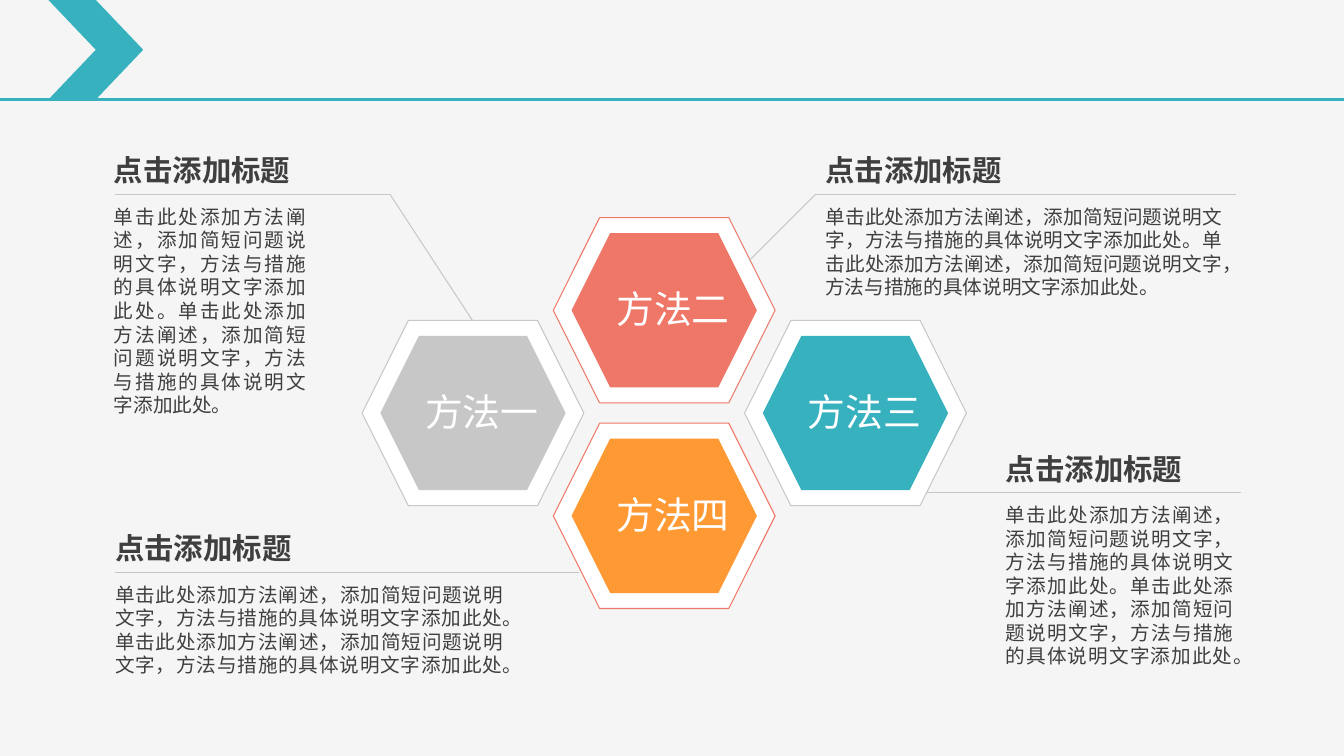
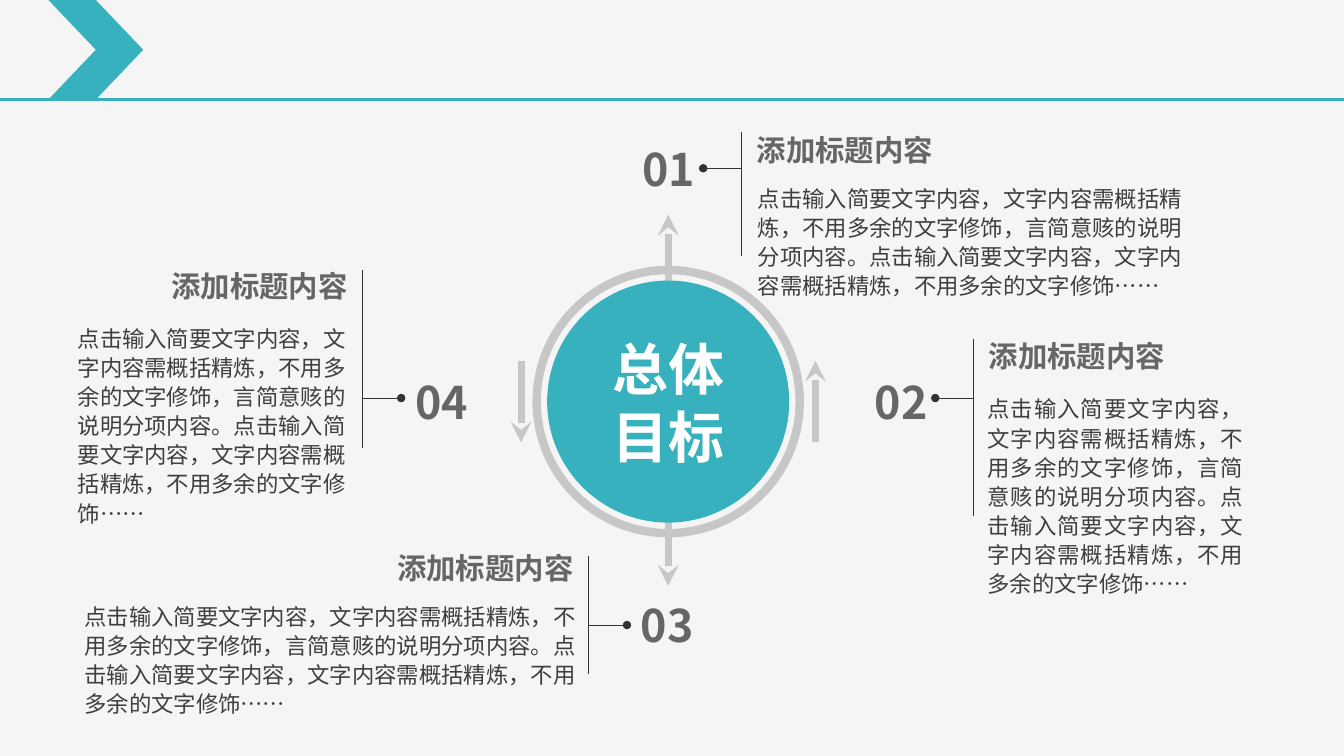
from lxml.etree import SubElement
from pptx import Presentation
from pptx.dml.color import RGBColor
from pptx.enum.shapes import MSO_CONNECTOR as Connector, MSO_SHAPE as Shape
from pptx.enum.text import PP_ALIGN as Align
from pptx.oxml.ns import qn
from pptx.util import Cm, Pt

FONT = "Noto Sans CJK SC"
COLORS = {
    "background": "F5F5F5",
    "teal": "38B1BF",
    "coral": "EF7768",
    "orange": "FF9933",
    "silver": "C7C7C7",
    "white": "FFFFFF",
    "text": "3F3F3F",
    "heading": "666666",
    "rule": "333333",
}
PADDED, TIGHT = (0.33, 0.18), (0, 0)
# Each style: font values, colour, line height as a multiple of the size, margins
STYLES = {
    "hexagon label": ({"size": Pt(27)}, "white", 1.2, (0.25, 0.13)),
    "method title": ({"size": Pt(21), "bold": True}, "text", 1.2, PADDED),
    "method body": ({"size": Pt(14)}, "text", 1.2, PADDED),
    "goal title": ({"size": Pt(21), "bold": True}, "heading", 1.2, TIGHT),
    "goal body": ({"size": Pt(16)}, "text", 1.3, TIGHT),
    "goal number": ({"size": Pt(32), "bold": True}, "heading", 1.2, TIGHT),
    "center label": ({"size": Pt(40), "bold": True}, "white", 1.2, PADDED),
}


def add_text(slide, box, text, style, align=Align.LEFT):
    """Add a text box; box is left, top, width and height in centimetres."""
    font_values, color, line_height, (side, edge) = STYLES[style]
    frame = slide.shapes.add_textbox(*map(Cm, box)).text_frame
    frame_values = {
        "word_wrap": True,
        "margin_left": Cm(side), "margin_right": Cm(side),
        "margin_top": Cm(edge), "margin_bottom": Cm(edge),
    }
    for name, value in frame_values.items():
        setattr(frame, name, value)
    paragraph = frame.paragraphs[0]
    paragraph.alignment = align
    paragraph.line_spacing = Pt(round(font_values["size"].pt * line_height, 1))
    run = paragraph.add_run()
    run.text = text
    for name, value in {"name": FONT, **font_values}.items():
        setattr(run.font, name, value)
    run.font.color.rgb = RGBColor.from_string(COLORS[color])
    SubElement(run._r.get_or_add_rPr(), qn("a:ea"), typeface=FONT)


def add_line(slide, start, end, color, width=0.75, end_mark=None):
    """Draw a line between two points in centimetres, with a mark at its end."""
    line = slide.shapes.add_connector(Connector.STRAIGHT, *map(Cm, (*start, *end)))
    line.line.color.rgb = RGBColor.from_string(COLORS[color])
    line.line.width = Pt(width)
    if end_mark:
        SubElement(line.line._get_or_add_ln(), qn("a:tailEnd"), type=end_mark)
    SubElement(line._element.spPr, qn("a:effectLst"))
    return line


presentation = Presentation()
presentation.slide_width, presentation.slide_height = Cm(33.87), Cm(19.05)
background = presentation.slide_master.background.fill
background.solid()
background.fore_color.rgb = RGBColor.from_string(COLORS["background"])
blank = presentation.slide_layouts[6]
methods_slide = presentation.slides.add_slide(blank)
goals_slide = presentation.slides.add_slide(blank)

# Header shared by both slides: drawn once, then moved to the layout
header_line = add_line(methods_slide, (0, 2.51), (33.87, 2.51), "teal", 2.25)
chevron = methods_slide.shapes.add_shape(
    Shape.CHEVRON, Cm(1.22), Cm(0), Cm(2.39), Cm(2.51))
chevron.shadow.inherit = False
chevron.fill.solid()
chevron.fill.fore_color.rgb = RGBColor.from_string(COLORS["teal"])
chevron.line.fill.background()
for shape in (header_line, chevron):
    blank.shapes._spTree.append(shape._element)

# Slide 1: four hexagons around a centre
CENTER_X, CENTER_Y, STEP_X, STEP_Y = 16.74, 10.41, 4.82, 2.59
HEXAGONS = [
    ("方法二", 0, -1, "coral", "coral"),
    ("方法一", -1, 0, "silver", "silver"),
    ("方法四", 0, 1, "orange", "coral"),
    ("方法三", 1, 0, "teal", "silver"),
]
for label, column, row, color, outline in HEXAGONS:
    x, y = CENTER_X + column * STEP_X, CENTER_Y + row * STEP_Y
    for width, height, fill, border in (
            (5.59, 4.67, "white", outline), (4.67, 3.89, color, None)):
        hexagon = methods_slide.shapes.add_shape(
            Shape.HEXAGON, Cm(x - width / 2), Cm(y - height / 2), Cm(width), Cm(height))
        hexagon.shadow.inherit = False
        hexagon.fill.solid()
        hexagon.fill.fore_color.rgb = RGBColor.from_string(COLORS[fill])
        if border:
            hexagon.line.color.rgb = RGBColor.from_string(COLORS[border])
            hexagon.line.width = Pt(0.75)
        else:
            hexagon.line.fill.background()
    add_text(methods_slide, (x - 1.5, y - 0.74, 3.4, 1.42), label,
             "hexagon label", Align.RIGHT)

METHOD_TEXT = "单击此处添加方法阐述，添加简短问题说明文字，方法与措施的具体说明文字添加此处。" * 2
# left, top, body width, body height, underline from and to, end of the leader
METHODS = [
    (2.54, 3.66, 5.51, 5.74, 2.9, 9.83, (11.91, 8.08)),
    (20.47, 3.66, 10.67, 2.74, 31.14, 20.55, (18.87, 6.58)),
    (2.57, 13.18, 10.44, 3.35, 2.9, 14.6, None),
    (25.02, 11.18, 6.4, 4.52, 31.27, 23.37, None),
]
for left, top, width, height, line_from, line_to, leader_end in METHODS:
    add_text(methods_slide, (left, top, 6.32, 1.24), "点击添加标题", "method title")
    add_text(methods_slide, (left, top + 1.32, width, height), METHOD_TEXT,
             "method body", Align.JUSTIFY)
    line_y = top + 1.24
    add_line(methods_slide, (line_from, line_y), (line_to, line_y), "silver")
    if leader_end:
        add_line(methods_slide, (line_to, line_y), leader_end, "silver")

# Slide 2: central goal with arrows and four numbered notes
GOAL_X, GOAL_Y = 16.84, 10.12
ARROWS = [
    (GOAL_X, 7.49, 5.41),
    (GOAL_X, 12.7, 14.76),
    (20.55, 11.15, 9.09),
    (13.13, 9.09, 11.15),
]
for x, start_y, end_y in ARROWS:
    add_line(goals_slide, (x, start_y), (x, end_y), "silver", 5, "stealth")

for diameter, is_ring in ((6.63, True), (6.1, False)):
    circle = goals_slide.shapes.add_shape(
        Shape.OVAL, Cm(GOAL_X - diameter / 2), Cm(GOAL_Y - diameter / 2),
        Cm(diameter), Cm(diameter))
    circle.shadow.inherit = False
    if is_ring:
        circle.fill.background()
        circle.line.color.rgb = RGBColor.from_string(COLORS["silver"])
        circle.line.width = Pt(6)
    else:
        circle.fill.solid()
        circle.fill.fore_color.rgb = RGBColor.from_string(COLORS["teal"])
        circle.line.fill.background()
add_text(goals_slide, (GOAL_X - 2.22, 8.26, 4.45, 3.76), "总体目标",
         "center label", Align.CENTER)

GOAL_TEXT = ("点击输入简要文字内容，文字内容需概括精炼，不用多余的文字修饰，言简意赅的说明分项内容。"
             "点击输入简要文字内容，文字内容需概括精炼，不用多余的文字修饰……")
TITLE_WIDTH, TITLE_GAP, TICK = 5.16, 0.38, 0.97
# number, its top, bar x, bar top, bar bottom, tick y, title top, body box, body alignment
RIGHT_NOTES = [
    ("01", 3.56, 18.69, 3.33, 6.45, 4.24, 3.33, (19.1, 4.6, 10.92, 2.41), Align.LEFT),
    ("02", 9.45, 24.54, 8.53, 13, 10.03, 8.53, (24.89, 9.91, 6.45, 4.22), Align.JUSTIFY),
]
LEFT_NOTES = [
    ("03", 15.06, 14.83, 14.02, 16.99, 15.75, 13.87, (2.13, 15.14, 12.6, 2.41), Align.LEFT),
    ("04", 9.45, 9.14, 6.81, 11.28, 10.03, 6.76, (1.96, 8.13, 7.16, 4.22), Align.LEFT),
]
for notes, on_right in ((RIGHT_NOTES, True), (LEFT_NOTES, False)):
    for (number, number_top, bar_x, bar_top, bar_bottom, tick_y,
         title_top, body_box, body_align) in notes:
        if on_right:
            dot_x, title_left, title_align = bar_x - TICK, bar_x + TITLE_GAP, Align.LEFT
            number_left = dot_x - 1.75
        else:
            dot_x, title_align = bar_x + TICK, Align.RIGHT
            title_left = bar_x - TITLE_GAP - TITLE_WIDTH
            number_left = dot_x + 0.13
        add_line(goals_slide, (bar_x, bar_top), (bar_x, bar_bottom), "rule")
        add_line(goals_slide, (bar_x, tick_y), (dot_x, tick_y), "rule", end_mark="oval")
        add_text(goals_slide, (number_left, number_top, 1.78, 1.37), number,
                 "goal number", Align.CENTER)
        add_text(goals_slide, (title_left, title_top, TITLE_WIDTH, 0.89), "添加标题内容",
                 "goal title", title_align)
        add_text(goals_slide, body_box, GOAL_TEXT, "goal body", body_align)

presentation.save("out.pptx")
